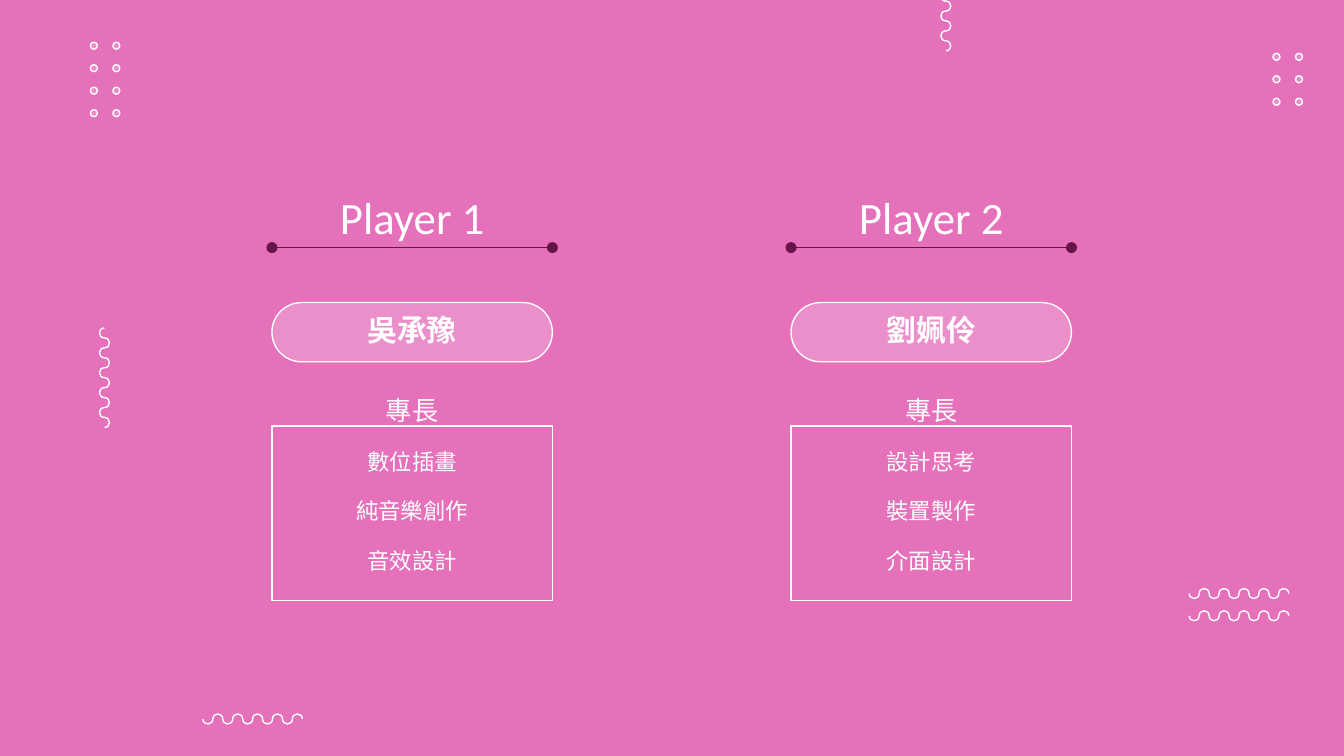
from pptx import Presentation
from pptx import util as u
from pptx.dml import color
from pptx.enum import shapes, text
from pptx.oxml.ns import qn
from lxml import etree

Cm, Pt = u.Cm, u.Pt
WHITE, PINK, PLUM = "FFFFFF", "E571BB", "661449"
ROUND, OVAL = shapes.MSO_SHAPE.ROUNDED_RECTANGLE, shapes.MSO_SHAPE.OVAL


def paint(target, tone):
    target.solid()
    target.fore_color.rgb = color.RGBColor.from_string(tone)


def outline(shape):
    shape.shadow.inherit = False
    shape.fill.background()
    paint(shape.line.fill, WHITE)
    shape.line.width = Pt(0.75)


def add_shape(holder, kind, left, top, wide, high, tint=False):
    shape = holder.shapes.add_shape(kind, Cm(left), Cm(top), Cm(wide), Cm(high))
    outline(shape)
    if tint:
        paint(shape.fill, WHITE)
        tone = shape.fill._xPr.find(".//" + qn("a:srgbClr"))
        etree.SubElement(tone, qn("a:alpha"), val="21000")
    return shape


def add_text(slide, left, top, wide, high, lines, anchor=text.MSO_ANCHOR.TOP):
    box = slide.shapes.add_textbox(Cm(left), Cm(top), Cm(wide), Cm(high))
    frame = box.text_frame
    frame.word_wrap = True
    frame.vertical_anchor = anchor
    frame.margin_left = frame.margin_right = Cm(0.25)
    frame.margin_top = frame.margin_bottom = Cm(0.25)
    for i, (words, size, face, bold) in enumerate(lines):
        para = frame.add_paragraph() if i else frame.paragraphs[0]
        para.text = words
        para.alignment = text.PP_ALIGN.CENTER
        font = para.font
        font.size, font.name, font.bold = Pt(size), face, bold
        paint(font.fill, WHITE)
    return frame


def add_rule(slide, left, top, wide):
    rule = slide.shapes.add_connector(
        shapes.MSO_CONNECTOR.STRAIGHT, Cm(left), Cm(top), Cm(left + wide), Cm(top))
    paint(rule.line.fill, PLUM)
    rule.line.width = Pt(0.75)
    edge = rule.line._get_or_add_ln()
    for end in ("a:headEnd", "a:tailEnd"):
        etree.SubElement(edge, qn(end), type="oval")
    etree.SubElement(rule._element.spPr, qn("a:effectLst"))


def add_wave(slide, left, top, turn, wide=0.25, high=1.88, bends=10):
    mid, step = left + wide / 2, high / bends
    pen = slide.shapes.build_freeform(Cm(mid), Cm(top + high))
    for bend in range(bends):
        side = left if bend % 2 else left + wide
        low = top + high - bend * step
        spots = ((side, low), (side, low - step), (mid, low - step))
        pen.add_line_segments([(Cm(x), Cm(y)) for x, y in spots], close=False)
    wave = pen.convert_to_shape()
    lines = list(wave._element.iter(qn("a:lnTo")))
    for first, *rest in zip(lines[::3], lines[1::3], lines[2::3]):
        curve = etree.Element(qn("a:cubicBezTo"))
        first.addprevious(curve)
        for part in (first, *rest):
            curve.append(part[0])
            part.getparent().remove(part)
    outline(wave)
    wave.rotation = turn
    return wave


def add_dots(slide, left, top, rows, cols=2, pitch=0.425):
    group = slide.shapes.add_group_shape()
    for row in range(rows):
        for col in range(cols):
            add_shape(group, OVAL, left + col * pitch, top + row * pitch,
                      0.13, 0.13, True)
    return group


def decorate(slide):
    parts = [add_wave(slide, *place) for place in (
        (1.85, 6.2, 0), (23.29, 10.28, 90), (17.75, -0.92, 180),
        (4.65, 12.65, 270), (23.29, 10.7, 90))]
    parts += [add_dots(slide, *place) for place in (
        (24.06, 1.01, 3), (1.71, 0.8, 2), (1.71, 1.65, 2))]
    tree = slide.slide_layout.shapes._spTree
    for part in parts:
        tree.append(part._element)


def add_card(slide, left, top, wide, title, name, face, skills):
    inset = 0.07
    inner = wide - 2 * inset
    add_text(slide, left + inset, top, inner, 0.84,
             [(title, 24, "Calibri", None)], text.MSO_ANCHOR.MIDDLE)
    add_rule(slide, left, top + 1.01, wide)

    pill = add_shape(slide, ROUND, left, top + 2.05, wide, 1.12, True)
    pill.adjustments[0] = 0.5
    add_text(slide, left + inset, top + 1.98, inner, 1.19, [(name, 16, face, True)])

    frame = add_shape(slide, ROUND, left, top + 4.38, wide, 3.3)
    frame.adjustments[0] = 0
    lines = [("專長", 14, "Arial", None)]
    lines += [(skill, 12, "Arial", None) for skill in skills]
    body = add_text(slide, left - 1.51, top + 3.24, wide + 3.02, 4.24, lines)
    body.auto_size = text.MSO_AUTO_SIZE.SHAPE_TO_FIT_TEXT
    head, *rest = body.paragraphs
    head.line_spacing = 1.5
    for para in rest:
        para.space_before = Pt(12)
    rest[-1].space_after = Pt(12)


def main():
    deck = Presentation()
    deck.slide_width, deck.slide_height = Cm(25.4), Cm(14.29)
    slide = deck.slides.add_slide(deck.slide_layouts[6])
    paint(slide.background.fill, PINK)
    decorate(slide)
    add_card(slide, 5.14, 3.67, 5.3, "Player 1", "吳承豫", "Arial",
             ("數位插畫", "純音樂創作", "音效設計"))
    add_card(slide, 14.95, 3.67, 5.3, "Player 2", "劉姵伶", "Lato",
             ("設計思考", "裝置製作", "介面設計"))
    deck.save("out.pptx")


if __name__ == "__main__":
    main()
